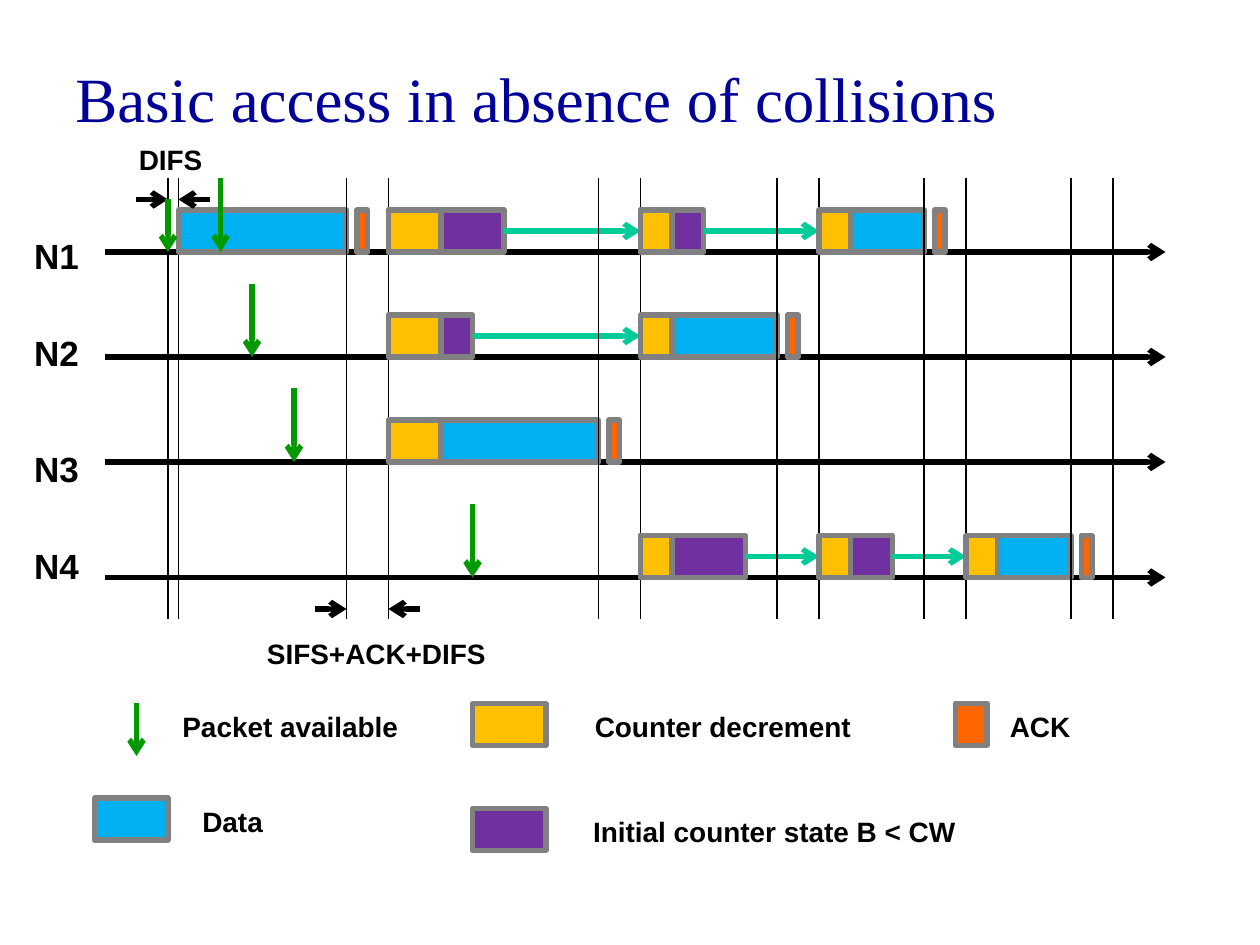
from lxml import etree
from pptx import Presentation
from pptx.dml.color import RGBColor
from pptx.enum.shapes import MSO_CONNECTOR, MSO_SHAPE
from pptx.enum.text import MSO_ANCHOR, PP_ALIGN
from pptx.oxml.ns import qn
from pptx.util import Inches, Pt

RECT, STRAIGHT = MSO_SHAPE.RECTANGLE, MSO_CONNECTOR.STRAIGHT
LEFT, CENTER = PP_ALIGN.LEFT, PP_ALIGN.CENTER
TOP, MIDDLE = MSO_ANCHOR.TOP, MSO_ANCHOR.MIDDLE

BLACK = RGBColor(0x00, 0x00, 0x00)
NAVY = RGBColor(0x00, 0x00, 0x99)
GREY = RGBColor(0x80, 0x80, 0x80)
PACKET = RGBColor(0x00, 0x99, 0x00)
WAIT = RGBColor(0x00, 0xCC, 0x99)
DATA = RGBColor(0x00, 0xB0, 0xF0)
ACK = RGBColor(0xFF, 0x66, 0x00)
COUNTER = RGBColor(0xFF, 0xC0, 0x00)
BACKOFF = RGBColor(0x70, 0x30, 0xA0)

COLS, ROWS = 120, 90
BAR = 4


class Diagram:
    """Draws styled elements on one slide, placed by the cells of a fine grid."""

    title = {"name": "Times New Roman", "size": Pt(36), "bold": False}
    node = {"name": "Arial", "size": Pt(20), "bold": True}
    label = {"name": "Arial", "size": Pt(16), "bold": True}

    def __init__(self, prs):
        self.s = prs.slides.add_slide(prs.slide_layouts[6])
        self.dx, self.dy = prs.slide_width / COLS, prs.slide_height / ROWS

    def cells(self, x, y, w, h):
        return [round(v) for v in (x * self.dx, y * self.dy, w * self.dx, h * self.dy)]

    def text(self, text, x, y, w, h, font, color=BLACK, align=CENTER, anchor=TOP):
        tf = self.s.shapes.add_textbox(*self.cells(x, y, w, h)).text_frame
        for key, value in {"word_wrap": align == LEFT, "vertical_anchor": anchor}.items():
            setattr(tf, key, value)
        p = tf.paragraphs[0]
        p.alignment = align
        r = p.add_run()
        r.text = text
        for key, value in font.items():
            setattr(r.font, key, value)
        r.font.color.rgb = color

    def bar(self, x1, x2, y, fill):
        sp = self.s.shapes.add_shape(RECT, *self.cells(x1, y, x2 - x1, BAR))
        sp.shadow.inherit = False
        sp.fill.solid()
        sp.fill.fore_color.rgb = fill
        sp.line.color.rgb = GREY
        sp.line.width = Pt(3)

    def line(self, x1, y1, x2, y2, color=BLACK, width=1):
        c = self.s.shapes.add_connector(STRAIGHT, *self.cells(x1, y1, x2, y2))
        c.line.color.rgb = color
        c.line.width = Pt(width)
        etree.SubElement(c._element.spPr, qn("a:effectLst"))
        return c

    def arrow(self, x1, y1, x2, y2, color=BLACK):
        c = self.line(x1, y1, x2, y2, color, 3)
        ln = c._element.spPr.get_or_add_ln()
        etree.SubElement(ln, qn("a:tailEnd"), type="arrow")

    def gap(self, x1, x2, y):
        self.arrow(x1 - 3, y, x1, y)
        self.arrow(x2 + 3, y, x2, y)

    def rounds(self, base, frames):
        y = base - BAR
        for i, (start, counted, end, kind) in enumerate(frames):
            self.bar(start if kind == BACKOFF else counted, end, y, kind)
            if counted > start:
                self.bar(start, counted, y, COUNTER)
            if kind == DATA:
                self.bar(end + 1, end + 2, y, ACK)
            else:
                self.arrow(end, base - 2, frames[i + 1][0], base - 2, WAIT)


NODES = [
    ("N1", 24, 21.75, [(17, 17, 33, DATA), (37, 42, 48, BACKOFF),
                       (61, 64, 67, BACKOFF), (78, 81, 88, DATA)]),
    ("N2", 34, 31, [(37, 42, 45, BACKOFF), (61, 64, 74, DATA)]),
    ("N3", 44, 42, [(37, 42, 57, DATA)]),
    ("N4", 55, 51.25, [(61, 64, 71, BACKOFF), (78, 81, 85, BACKOFF),
                       (92, 95, 102, DATA)]),
]
ROUND_STARTS = [16, 17, 37, 61, 78, 92]
ROUND_ENDS = [33, 57, 74, 88, 102, 106]
PACKETS = [(16, 19, 24), (21, 17, 24), (24, 27, 34), (28, 37, 44), (45, 48, 55),
           (13, 67, 72)]
LABELS = [
    ("DIFS", 12, 13, 8.5),
    ("SIFS+ACK+DIFS", 24.1, 60, 23.5),
    ("Packet available", 16, 67, 23.3),
    ("Data", 18, 76, 8.3),
    ("Counter decrement", 55.3, 67, 27.1),
    ("Initial counter state B < CW", 55.1, 77, 37.3),
    ("ACK", 94.9, 67, 8.3),
]
KEYS = [(9, 16, 76, DATA), (45, 52, 67, COUNTER), (45, 52, 77, BACKOFF),
        (91, 94, 67, ACK)]


def main():
    prs = Presentation()
    prs.slide_width, prs.slide_height = Inches(10), Inches(7.5)
    d = Diagram(prs)
    d.text("Basic access in absence of collisions", 6, 3.6, 108, 11.4,
           d.title, NAVY, LEFT, MIDDLE)
    for name, base, top, _ in NODES:
        d.arrow(10, base, 111, base)
        d.text(name, 2, top, 6.75, 5.25, d.node)
    for x in ROUND_STARTS:
        d.line(x, 17, x, 59)
    for _, base, _, frames in NODES:
        d.rounds(base, frames)
    for x in ROUND_ENDS:
        d.line(x, 17, x, 59)
    d.gap(16, 17, 19)
    d.gap(33, 37, 58)
    for x, y1, y2 in PACKETS:
        d.arrow(x, y1, x, y2, PACKET)
    for key in KEYS:
        d.bar(*key)
    for text, x, y, w in LABELS:
        d.text(text, x, y, w, 4.4, d.label)
    prs.save("out.pptx")


if __name__ == "__main__":
    main()
